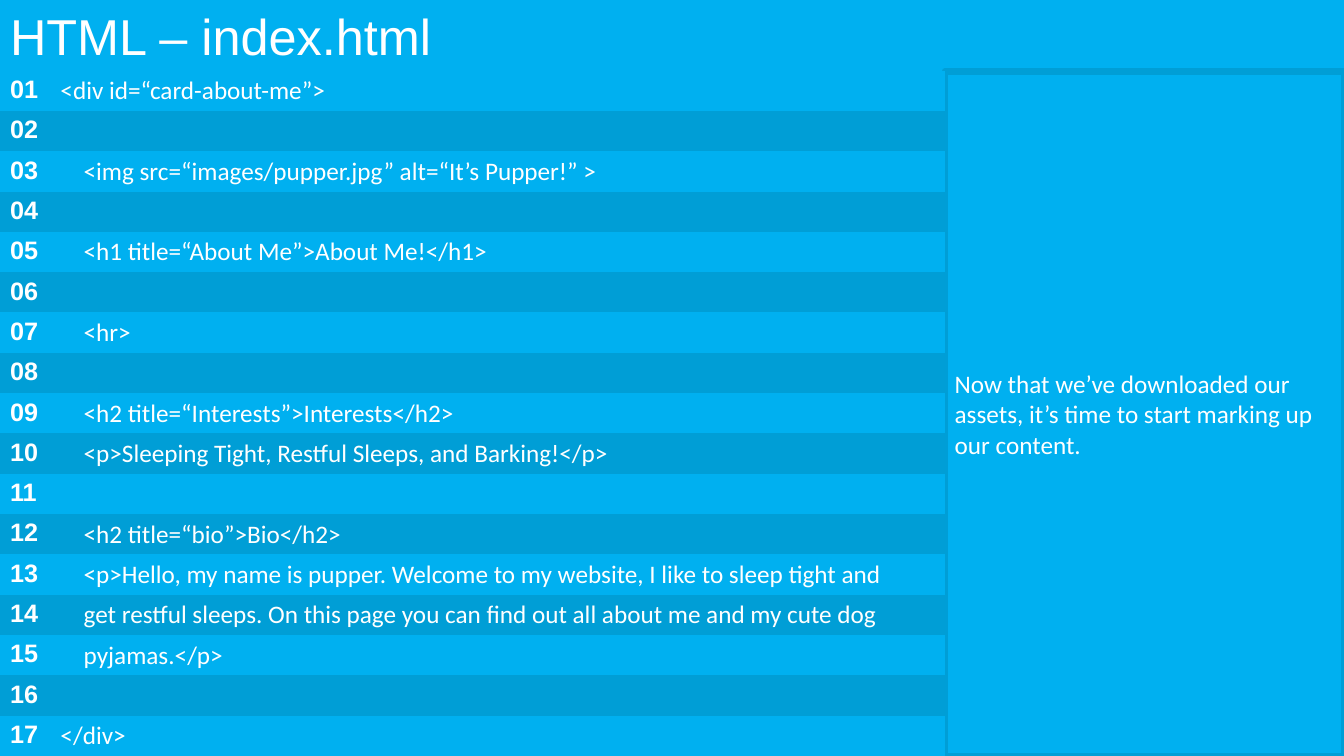
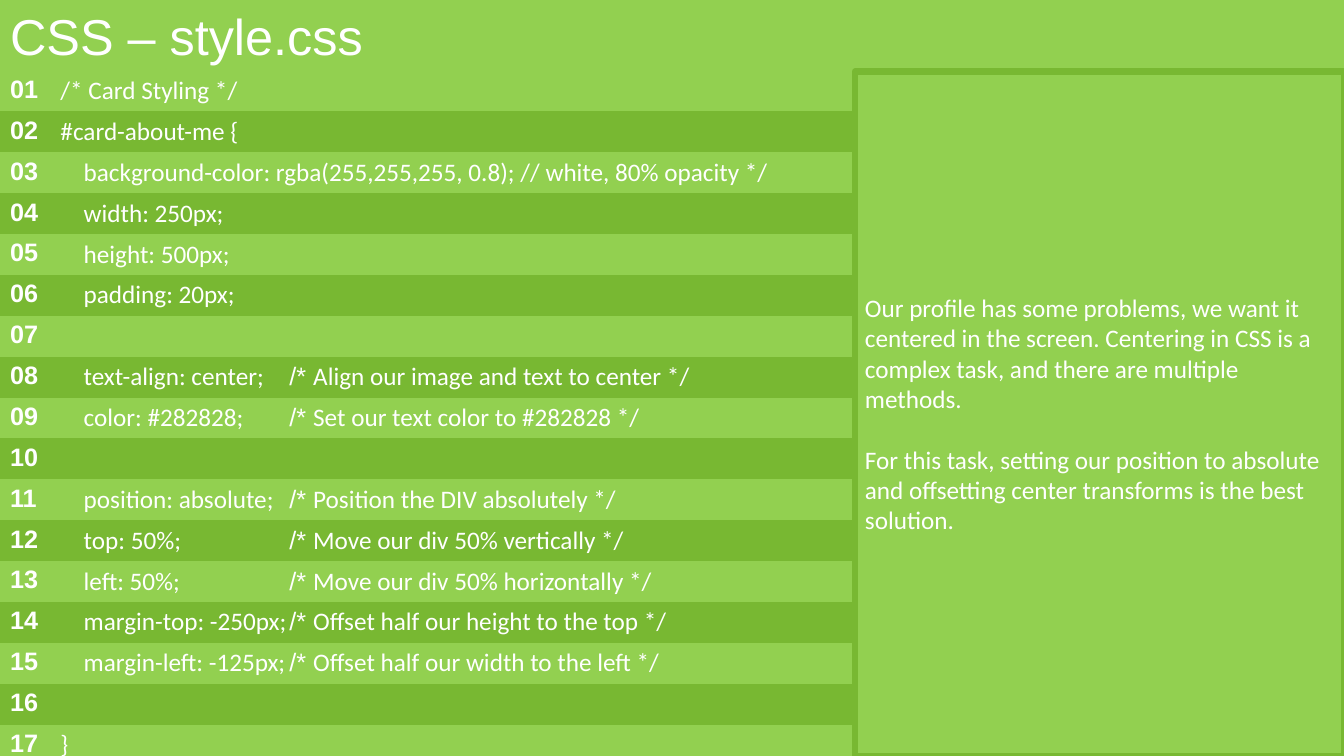
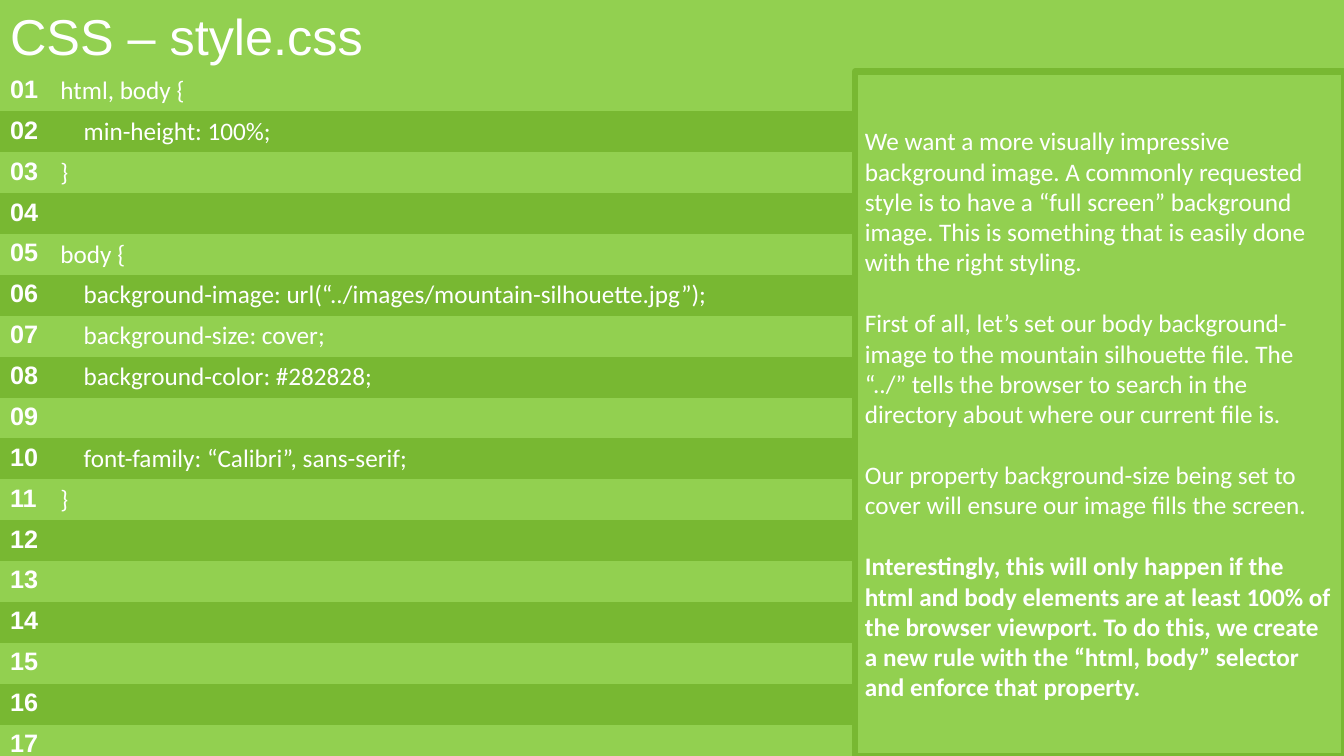
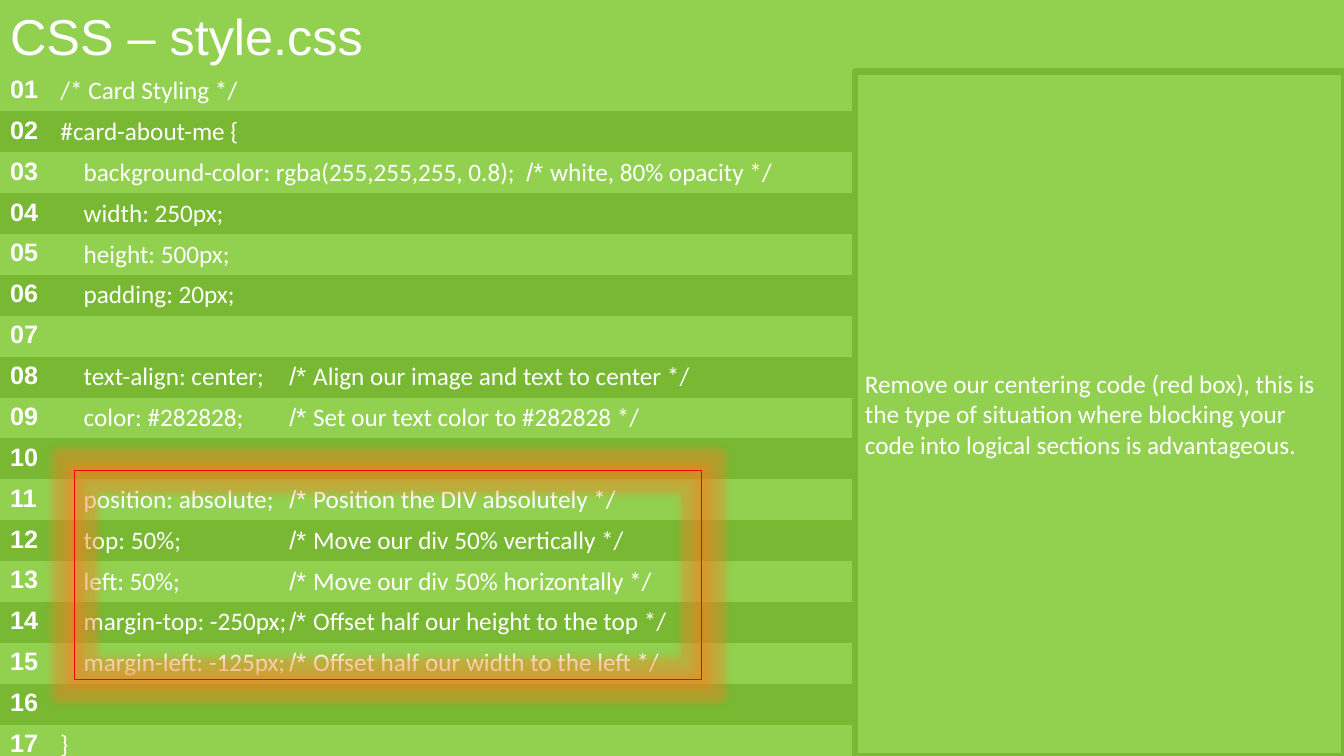
"""Build four slides of numbered code listings with explanatory side panels."""
from collections import namedtuple

from lxml import etree
from pptx import Presentation
from pptx.dml.color import RGBColor
from pptx.enum import dml, shapes, text
from pptx.oxml import ns
from pptx.util import Inches, Pt

Theme = namedtuple("Theme", "base dark panel_left row_height table_on_top")
HTML = Theme("00B0F0", "009ED6", 9.37, 0.4, True)
CSS = Theme("92D050", "78B832", 8.48, 6.9 / 17, False)

WIDTH, HEIGHT = 13.33, 7.5
TITLE_HEIGHT = 0.71
TABLE_TOP = 0.7
COLUMNS = 0.5, 8.87
ROWS = 17
INSET, CODE_INDENT = 0.1, 0.23
COMMENT_STOPS = 2.04, 4.39
WHITE = "FFFFFF"
NO_STYLE = "{2D5ABB26-0587-4C30-8999-92F81FD0307C}"

INDEX_HTML = [
    "<div id=“card-about-me”>",
    "",
    "    <img src=“images/pupper.jpg” alt=“It’s Pupper!” >",
    "",
    "    <h1 title=“About Me”>About Me!</h1>",
    "",
    "    <hr>",
    "",
    "    <h2 title=“Interests”>Interests</h2>",
    "    <p>Sleeping Tight, Restful Sleeps, and Barking!</p>",
    "",
    "    <h2 title=“bio”>Bio</h2>",
    "    <p>Hello, my name is pupper. Welcome to my website, I like to sleep tight and",
    "    get restful sleeps. On this page you can find out all about me and my cute dog",
    "    pyjamas.</p>",
    "",
    "</div>",
]
CARD_CSS = [
    "/* Card Styling */",
    "#card-about-me {",
    "    background-color: rgba(255,255,255, 0.8); // white, 80% opacity */",
    "    width: 250px;",
    "    height: 500px;",
    "    padding: 20px;",
    "",
    "    text-align: center;\t/* Align our image and text to center */",
    "    color: #282828;\t/* Set our text color to #282828 */",
    "",
    "    position: absolute;\t/* Position the DIV absolutely */",
    "    top: 50%;\t/* Move our div 50% vertically */",
    "    left: 50%;\t/* Move our div 50% horizontally */",
    "    margin-top: -250px;\t/* Offset half our height to the top */",
    "    margin-left: -125px;\t/* Offset half our width to the left */",
    "",
    "}",
]
FIXED_OPACITY = "    background-color: rgba(255,255,255, 0.8);\t/* white, 80% opacity */"
FIXED_CARD_CSS = CARD_CSS[:2] + [FIXED_OPACITY] + CARD_CSS[3:]
BODY_CSS = [
    "html, body {",
    "    min-height: 100%;",
    "}",
    "",
    "body {",
    "    background-image: url(“../images/mountain-silhouette.jpg”);",
    "    background-size: cover;",
    "    background-color: #282828;",
    "",
    "    font-family: “Calibri”, sans-serif;",
    "}",
]

HTML_NOTES = [
    "Now that we’ve downloaded our assets, it’s time to start marking up our content.",
]
CENTERING_NOTES = [
    "Our profile has some problems, we want it centered in the screen. Centering in CSS "
    "is a complex task, and there are multiple methods.",
    "For this task, setting our position to absolute and offsetting center transforms is "
    "the best solution.",
]
BACKGROUND_NOTES = [
    "We want a more visually impressive background image. A commonly requested style is to "
    "have a “full screen” background image. This is something that is easily done with the "
    "right styling.",
    "First of all, let’s set our body background-image to the mountain silhouette file. The "
    "“../” tells the browser to search in the directory about where our current file is.",
    "Our property background-size being set to cover will ensure our image fills the screen.",
    "Interestingly, this will only happen if the html and body elements are at least 100% of "
    "the browser viewport. To do this, we create a new rule with the “html, body” selector "
    "and enforce that property.",
]
REMOVAL_NOTES = [
    "Remove our centering code (red box), this is the type of situation where blocking your "
    "code into logical sections is advantageous.",
]


def color(value):
    """Turn a hex string into a colour."""
    return RGBColor.from_string(value)


def paint(target, value):
    """Give a shape, cell or line a solid fill."""
    target.fill.solid()
    target.fill.fore_color.rgb = color(value)


def add_run(p, content, font="Calibri", size=18, bold=False):
    """Append white text to a paragraph."""
    r = p.add_run()
    r.text = content
    r.font.name, r.font.size, r.font.bold = font, Pt(size), bold
    r.font.color.rgb = color(WHITE)


def add_rect(slide, left, top, width, height):
    """Add a rectangle without a shadow."""
    sp = slide.shapes.add_shape(shapes.MSO_SHAPE.RECTANGLE, Inches(left), Inches(top),
                                Inches(width), Inches(height))
    sp.shadow.inherit = False
    return sp


def set_title(slide, title, theme):
    """Turn the title placeholder into the band along the top."""
    sp = slide.shapes.title
    sp.left, sp.top, sp.width, sp.height = 0, 0, Inches(WIDTH), Inches(TITLE_HEIGHT)
    paint(sp, theme.base)
    tf = sp.text_frame
    tf.auto_size = text.MSO_AUTO_SIZE.NONE
    tf.vertical_anchor = text.MSO_ANCHOR.TOP
    p = tf.paragraphs[0]
    p.alignment = text.PP_ALIGN.LEFT
    add_run(p, title, "Arial", 36)


def add_panel(slide, notes, theme, bold_last):
    """Add the outlined explanation on the right."""
    sp = add_rect(slide, theme.panel_left, TITLE_HEIGHT,
                  WIDTH - theme.panel_left, HEIGHT - TITLE_HEIGHT)
    paint(sp, theme.base)
    paint(sp.line, theme.dark)
    sp.line.width = Pt(4.5)
    tf = sp.text_frame
    tf.word_wrap = True
    tf.vertical_anchor = text.MSO_ANCHOR.MIDDLE
    for i, note in enumerate(notes):
        p = tf.add_paragraph() if i else tf.paragraphs[0]
        p.alignment = text.PP_ALIGN.LEFT
        p.space_before = Pt(22 if i else 0)
        add_run(p, note, bold=bold_last and i == len(notes) - 1)


def add_tab_stops(p):
    """Line up trailing comments at shared tab stops."""
    tabs = etree.SubElement(p._p.get_or_add_pPr(), ns.qn("a:tabLst"))
    for stop in COMMENT_STOPS:
        etree.SubElement(tabs, ns.qn("a:tab"), pos=str(Inches(stop)), algn="l")


def fill_code_cell(cell, line):
    """Write a line of code with its indent and trailing comment."""
    code = line.lstrip()
    if code != line:
        cell.margin_left = Inches(INSET + CODE_INDENT)
    p = cell.text_frame.paragraphs[0]
    code, tab, comment = code.partition("\t")
    if code:
        add_run(p, code + tab)
    if comment:
        add_tab_stops(p)
        add_run(p, comment[:3], "Arial")
        add_run(p, comment[3:])


def add_listing(slide, lines, theme):
    """Add the table of numbered code lines."""
    frame = slide.shapes.add_table(ROWS, len(COLUMNS), 0, Inches(TABLE_TOP),
                                   Inches(sum(COLUMNS)), Inches(theme.row_height * ROWS))
    table = frame.table
    table.first_row = table.horz_banding = False
    table._tbl.tblPr.find(ns.qn("a:tableStyleId")).text = NO_STYLE
    for column, width in zip(table.columns, COLUMNS):
        column.width = Inches(width)
    padded = lines + [""] * (ROWS - len(lines))
    for i, (row, line) in enumerate(zip(table.rows, padded)):
        row.height = Inches(theme.row_height)
        for cell in row.cells:
            paint(cell, theme.dark if i % 2 else theme.base)
            cell.margin_left = Inches(INSET)
            cell.margin_top, cell.margin_bottom = Inches(0.05), 0
        number, code = row.cells
        add_run(number.text_frame.paragraphs[0], f"{i + 1:02}", "Arial", bold=True)
        fill_code_cell(code, line)


def add_highlight(slide, left, top, width, height):
    """Add a red outline with an orange glow."""
    sp = add_rect(slide, left, top, width, height)
    sp.fill.background()
    paint(sp.line, "FF0000")
    sp.line.width = Pt(1)
    effects = sp._element.spPr.find(ns.qn("a:effectLst"))
    glow = etree.SubElement(effects, ns.qn("a:glow"), rad=str(Pt(11)))
    tint = etree.SubElement(glow, ns.qn("a:srgbClr"), val="ED7D31")
    etree.SubElement(tint, ns.qn("a:satMod"), val="175000")
    etree.SubElement(tint, ns.qn("a:alpha"), val="40000")


def add_code_slide(prs, title, theme, lines, notes, bold_last=False):
    """Add a slide with a title band, a listing and a panel."""
    slide = prs.slides.add_slide(prs.slide_layouts[5])
    set_title(slide, title, theme)
    if theme.table_on_top:
        add_panel(slide, notes, theme, bold_last)
        add_listing(slide, lines, theme)
    else:
        add_listing(slide, lines, theme)
        add_panel(slide, notes, theme, bold_last)
    return slide


def set_background(prs):
    """Give every slide a lightly dotted background."""
    fill = prs.slide_master.background.fill
    fill.patterned()
    fill.pattern = dml.MSO_PATTERN.PERCENT_5
    fill.fore_color.rgb = color("5B9BD5")
    fill.back_color.rgb = color(WHITE)


def main():
    """Build and save the presentation."""
    prs = Presentation()
    prs.slide_width, prs.slide_height = Inches(WIDTH), Inches(HEIGHT)
    set_background(prs)
    css_title = "CSS – style.css"
    add_code_slide(prs, "HTML – index.html", HTML, INDEX_HTML, HTML_NOTES)
    add_code_slide(prs, css_title, CSS, CARD_CSS, CENTERING_NOTES)
    add_code_slide(prs, css_title, CSS, BODY_CSS, BACKGROUND_NOTES, bold_last=True)
    slide = add_code_slide(prs, css_title, CSS, FIXED_CARD_CSS, REMOVAL_NOTES)
    add_highlight(slide, 0.74, 4.67, 6.22, 2.07)
    prs.save("out.pptx")


if __name__ == "__main__":
    main()
